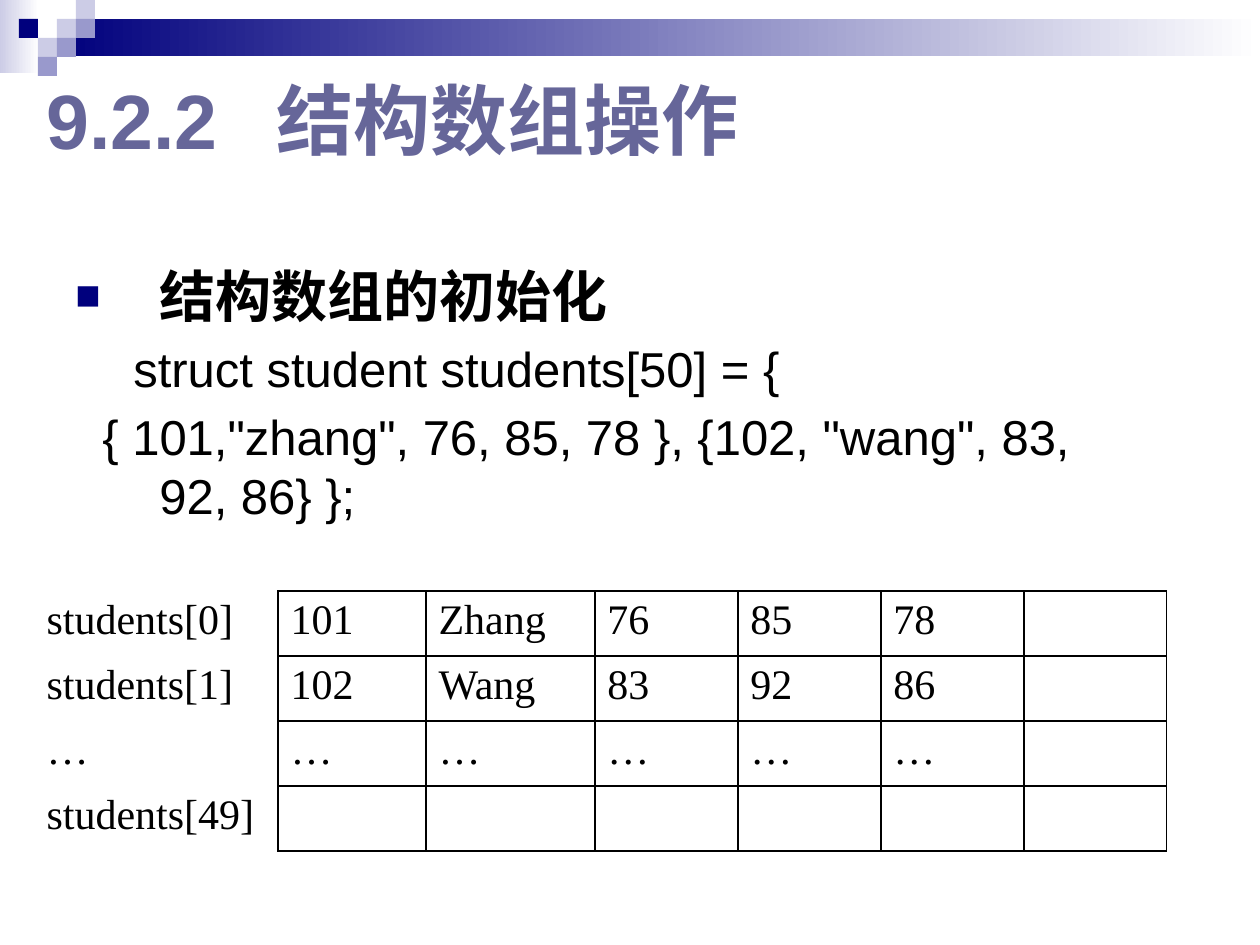
from lxml.etree import SubElement
from pptx import Presentation
from pptx.dml.color import RGBColor
from pptx.enum.shapes import MSO_SHAPE
from pptx.enum.text import MSO_ANCHOR
from pptx.oxml.ns import qn
from pptx.util import Pt

PX = 914400 / 126
NAVY = RGBColor(0x00, 0x00, 0x7D)
PALE = RGBColor(0xCC, 0xCC, 0xE6)
LILAC = RGBColor(0x99, 0x99, 0xCC)
SLATE = RGBColor(0x66, 0x66, 0x99)
BLACK = RGBColor(0, 0, 0)
WHITE = RGBColor(255, 255, 255)

# Content
TITLE = "9.2.2\t结构数组操作"
TITLE_TAB = 230
TITLE_FORMAT = {"size": Pt(44), "name": "Arial", "bold": True}
HEADING_FORMAT = {"size": Pt(32), "name": "Arial", "bold": True}
CODE_FORMAT = {"size": Pt(28), "name": "Arial", "bold": False}
CELL_FORMAT = {"size": Pt(24), "name": "Times New Roman", "bold": False}

# Body lines: text, format, first-line indent, bullet
BODY_MARGIN = 84
BODY = [
    ("结构数组的初始化", HEADING_FORMAT, -84, "■"),
    ("struct student students[50] = {", CODE_FORMAT, -26, None),
    ('{ 101,"zhang", 76, 85, 78 }, {102, "wang", 83, 92, 86} };',
     CODE_FORMAT, -57, None),
]
ROWS = [
    ["students[0]", "101", "Zhang", "76", "85", "78", ""],
    ["students[1]", "102", "Wang", "83", "92", "86", ""],
    ["…", "…", "…", "…", "…", "…", ""],
    ["students[49]", "", "", "", "", "", ""],
]
COLUMN_WIDTHS = [244, 148, 169, 143, 143, 143, 143]
ROW_HEIGHT = 65

# Header decoration: gradient bands, then squares by grid column and row
BANDS = [((0, 0, 39, 73), PALE), ((57, 19, 1203, 37), NAVY)]
SQUARE = 19
SQUARES = [(3, 1, PALE), (4, 0, PALE), (4, 1, LILAC), (2, 2, PALE),
           (1, 1, NAVY), (3, 2, LILAC), (2, 3, LILAC)]


def px(value):
    return round(value * PX)


def box(*values):
    return [px(value) for value in values]


def add_rectangle(slide, bounds):
    shape = slide.shapes.add_shape(MSO_SHAPE.RECTANGLE, *box(*bounds))
    shape.shadow.inherit = False
    shape.line.fill.background()
    return shape


def add_text_box(slide, bounds, anchor):
    frame = slide.shapes.add_textbox(*box(*bounds)).text_frame
    frame.word_wrap = True
    frame.vertical_anchor = anchor
    return frame


def write(paragraph, text, format_values, color):
    run = paragraph.add_run()
    run.text = text
    for font in (paragraph.font, run.font):
        for name, value in format_values.items():
            setattr(font, name, value)
        font.color.rgb = color


def set_bullet(properties, bullet):
    if bullet is None:
        SubElement(properties, qn("a:buNone"))
        return
    color = SubElement(properties, qn("a:buClr"))
    SubElement(color, qn("a:srgbClr"), val=str(NAVY))
    SubElement(properties, qn("a:buSzPct"), val="75000")
    SubElement(properties, qn("a:buFont"), typeface="Arial")
    SubElement(properties, qn("a:buChar"), char=bullet)


def set_borders(cell, visible_sides):
    properties = cell._tc.get_or_add_tcPr()
    for position, side in enumerate("LRTB"):
        line = properties.makeelement(qn(f"a:ln{side}"), {"w": str(Pt(1))})
        properties.insert(position, line)
        if side in visible_sides:
            fill = SubElement(line, qn("a:solidFill"))
            SubElement(fill, qn("a:srgbClr"), val=str(BLACK))
        else:
            SubElement(line, qn("a:noFill"))


def add_decoration(slide):
    for bounds, color in BANDS:
        fill = add_rectangle(slide, bounds).fill
        fill.gradient()
        fill.gradient_angle = 0
        for stop, stop_color in zip(fill.gradient_stops, (color, WHITE)):
            stop.color.rgb = stop_color
    for column, row, color in SQUARES:
        bounds = (column * SQUARE, row * SQUARE, SQUARE, SQUARE)
        fill = add_rectangle(slide, bounds).fill
        fill.solid()
        fill.fore_color.rgb = color


def add_title(slide):
    frame = add_text_box(slide, (34, 53, 1134, 132), MSO_ANCHOR.MIDDLE)
    paragraph = frame.paragraphs[0]
    tabs = SubElement(paragraph._p.get_or_add_pPr(), qn("a:tabLst"))
    SubElement(tabs, qn("a:tab"), pos=str(px(TITLE_TAB)), algn="l")
    write(paragraph, TITLE, TITLE_FORMAT, SLATE)


def add_body(slide):
    frame = add_text_box(slide, (63, 255, 1092, 320), MSO_ANCHOR.TOP)
    for index, (text, format_values, indent, bullet) in enumerate(BODY):
        paragraph = frame.add_paragraph() if index else frame.paragraphs[0]
        properties = paragraph._p.get_or_add_pPr()
        properties.set("marL", str(px(BODY_MARGIN)))
        properties.set("indent", str(px(indent)))
        set_bullet(properties, bullet)
        if index:
            paragraph.space_before = Pt(5.6)
        write(paragraph, text, format_values, BLACK)


def add_student_table(slide):
    bounds = (34, 591, sum(COLUMN_WIDTHS), ROW_HEIGHT * len(ROWS))
    table = slide.shapes.add_table(
        len(ROWS), len(COLUMN_WIDTHS), *box(*bounds)).table
    table.first_row = False
    table.horz_banding = False
    for column, width in zip(table.columns, COLUMN_WIDTHS):
        column.width = px(width)
    for row, texts in zip(table.rows, ROWS):
        row.height = px(ROW_HEIGHT)
        for index, (cell, text) in enumerate(zip(row.cells, texts)):
            cell.fill.background()
            # The label column only has the rule that it shares with the grid
            set_borders(cell, "LRTB" if index else "R")
            if text:
                write(cell.text_frame.paragraphs[0], text, CELL_FORMAT, BLACK)


def main():
    presentation = Presentation()
    presentation.slide_width, presentation.slide_height = box(1260, 945)
    slide = presentation.slides.add_slide(presentation.slide_layouts[6])
    add_decoration(slide)
    add_title(slide)
    add_body(slide)
    add_student_table(slide)
    presentation.save("out.pptx")


if __name__ == "__main__":
    main()
